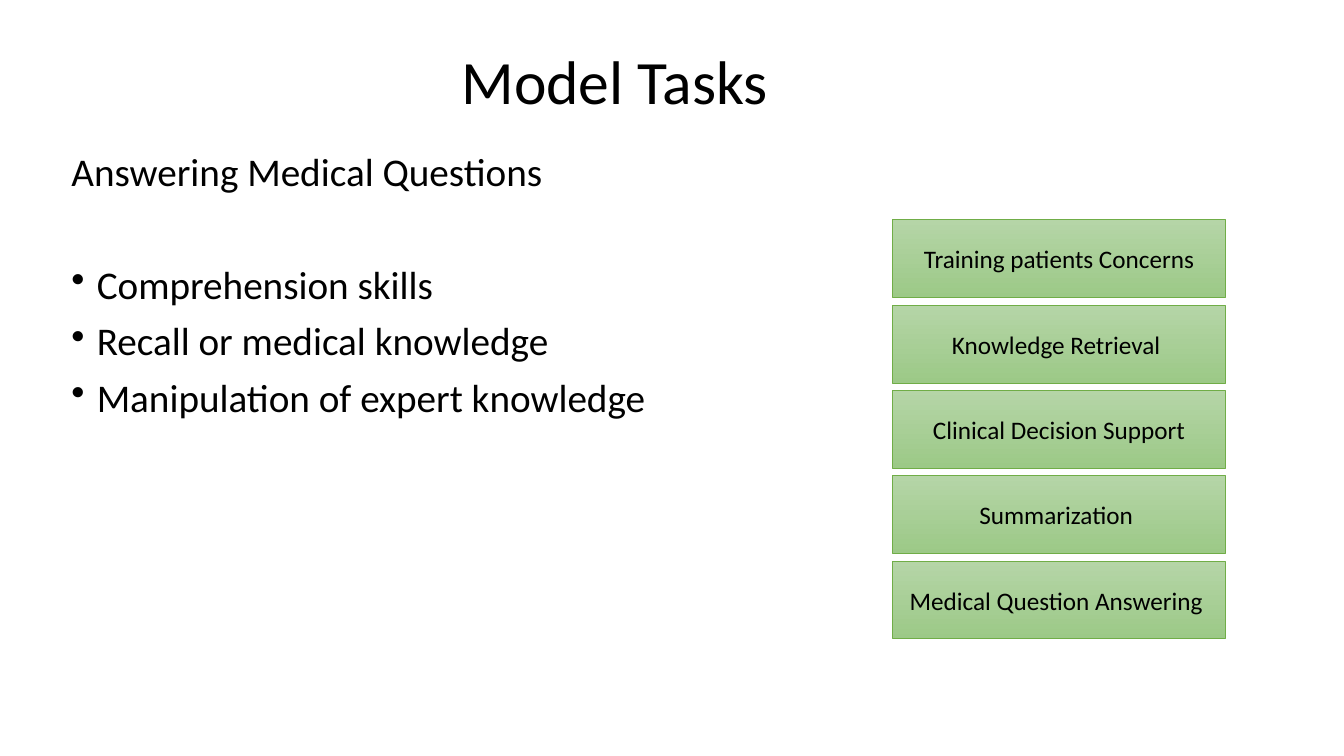
from dataclasses import dataclass

from lxml import etree
from pptx import Presentation
from pptx import util as u
from pptx.dml import color
from pptx.enum import shapes, text
from pptx.oxml import ns


@dataclass(frozen=True)
class Theme:
    """Colours, font and type sizes of the slide."""
    font: str = "Calibri"
    ink: str = "000000"
    light: str = "B5D5A7"
    deep: str = "9CC987"
    edge: str = "70AD47"
    title: int = 44
    body: int = 28
    task: int = 18


class Deck:
    """Draws styled elements on the current slide."""

    def __init__(self, prs, theme):
        """Add a blank slide and keep the style."""
        self.theme = theme
        self.slide = prs.slides.add_slide(prs.slide_layouts[6])

    def style(self, para, words, size):
        """Write words into a paragraph in the theme's font."""
        para.text = words
        para.font.name = self.theme.font
        para.font.size = u.Pt(size)
        para.font.color.rgb = color.RGBColor.from_string(self.theme.ink)

    def frame(self, left, top, width, height):
        """Add a wrapping text box and return its frame."""
        box = self.slide.shapes.add_textbox(
            u.Cm(left), u.Cm(top), u.Cm(width), u.Cm(height))
        box.text_frame.word_wrap = True
        return box.text_frame

    def title(self, words, indent, *area):
        """Add the indented slide title."""
        frame = self.frame(*area)
        frame.vertical_anchor = text.MSO_ANCHOR.MIDDLE
        para = frame.paragraphs[0]
        self.style(para, words, self.theme.title)
        para.line_spacing = 0.9
        para._p.get_or_add_pPr().set("marL", str(u.Cm(indent)))

    def body(self, lead, points, *area):
        """Add a lead line and the bullets below it."""
        frame = self.frame(*area)
        for num, words in enumerate([lead, *points]):
            para = frame.add_paragraph() if num else frame.paragraphs[0]
            self.style(para, words, self.theme.body)
            para.line_spacing = 0.9
            para.space_before = u.Pt(50.8 if num == 1 else 10)
            if num:
                self.bullet(para)

    def bullet(self, para):
        """Give a paragraph a hanging bullet."""
        props = para._p.get_or_add_pPr()
        hang = u.Cm(0.64)
        props.set("marL", str(hang))
        props.set("indent", str(-hang))
        mark = etree.Element(ns.qn("a:buChar"), char="•")
        props.find(ns.qn("a:defRPr")).addprevious(mark)

    def task(self, words, left, top, width, height):
        """Add one green task box."""
        box = self.slide.shapes.add_shape(
            shapes.MSO_SHAPE.RECTANGLE,
            u.Cm(left), u.Cm(top), u.Cm(width), u.Cm(height))
        box.shadow.inherit = False
        box.fill.gradient()
        box.fill.gradient_angle = 270
        for stop, tone in zip(box.fill.gradient_stops,
                              (self.theme.light, self.theme.deep)):
            stop.color.rgb = color.RGBColor.from_string(tone)
        box.line.color.rgb = color.RGBColor.from_string(self.theme.edge)
        box.line.width = u.Pt(0.5)
        box.text_frame.vertical_anchor = text.MSO_ANCHOR.MIDDLE
        para = box.text_frame.paragraphs[0]
        self.style(para, words, self.theme.task)
        para.alignment = text.PP_ALIGN.CENTER


def main():
    """Build the slide and save it."""
    prs = Presentation()
    prs.slide_width, prs.slide_height = u.Cm(33.87), u.Cm(19.05)
    deck = Deck(prs, Theme())
    deck.title("Model Tasks", 9.04, 2.34, 1.02, 29.21, 2.24)
    deck.body("Answering Medical Questions",
              ["Comprehension skills", "Recall or medical knowledge",
               "Manipulation of expert knowledge"],
              1.55, 3.71, 31.88, 14.33)
    tasks = ["Training patients Concerns", "Knowledge Retrieval ",
             "Clinical Decision Support", "Summarization ",
             "Medical Question Answering "]
    for row, words in enumerate(tasks):
        deck.task(words, 22.5, 5.54 + 2.15 * row, 8.38, 1.96)
    prs.save("out.pptx")


if __name__ == "__main__":
    main()
